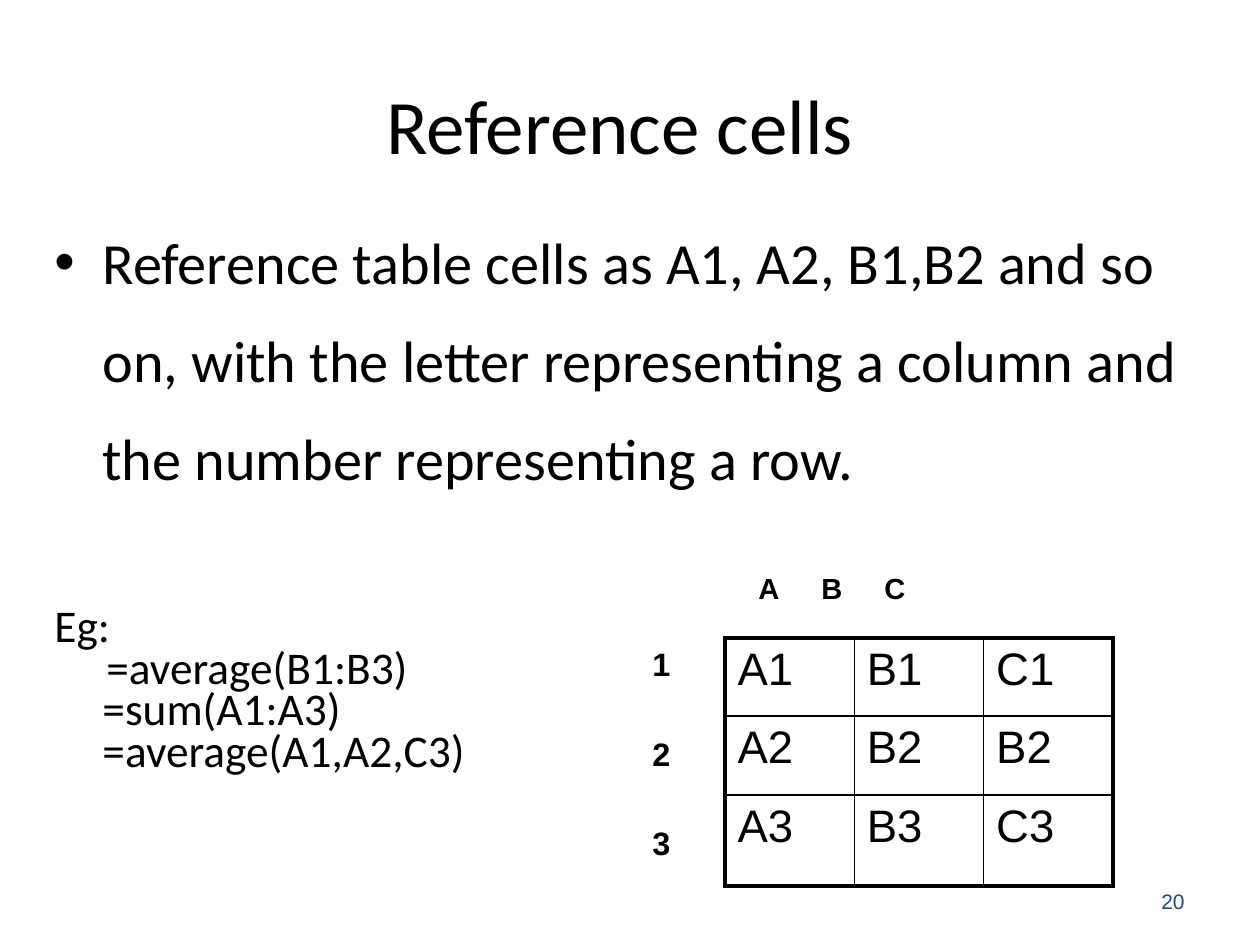
from dataclasses import dataclass

from lxml import etree
from pptx import Presentation
from pptx import util as u
from pptx.dml.color import RGBColor
from pptx.enum import text
from pptx.oxml import ns

SCALE = 914400 / 126  # EMU per px
COLORS = {"ink": "000000", "number": "1F497D"}


@dataclass(frozen=True)
class Box:
    left: int
    top: int
    width: int
    height: int

    def emu(self) -> tuple[int, ...]:
        return tuple(px(n) for n in (self.left, self.top, self.width, self.height))


@dataclass(frozen=True)
class Line:
    content: str
    margin: int = 0
    hanging: int = 0
    bullet: str = ""
    tabs: tuple[int, ...] = ()


def px(length: float) -> u.Emu:
    return u.Emu(round(length * SCALE))


def add_child(parent, tag: str, **attributes):
    child = etree.SubElement(parent, ns.qn(tag))
    for name, value in attributes.items():
        child.set(name, str(value))
    return child


def write(frame, lines: list[Line], *, size: float, font: str = "Calibri",
          color: str = "ink", bold: bool = False, align=text.PP_ALIGN.LEFT,
          anchor=text.MSO_ANCHOR.TOP, spacing: float = 1.0, gap: float = 0) -> None:
    """Fill a text frame; gap is the space in points between paragraphs."""
    frame.word_wrap = True
    frame.vertical_anchor = anchor
    for index, line in enumerate(lines):
        paragraph = frame.add_paragraph() if index else frame.paragraphs[0]
        paragraph.alignment = align
        paragraph.line_spacing = spacing
        paragraph.space_before = u.Pt(gap if index else 0)
        properties = paragraph._p.get_or_add_pPr()
        properties.set("marL", str(px(line.margin)))
        properties.set("indent", str(px(-line.hanging)))
        if line.bullet:
            add_child(properties, "a:buFont", typeface="Arial")
            add_child(properties, "a:buChar", char=line.bullet)
        if line.tabs:
            stops = add_child(properties, "a:tabLst")
            for stop in line.tabs:
                add_child(stops, "a:tab", pos=px(stop), algn="l")
        run = paragraph.add_run()
        run.text = line.content
        run.font.name = font
        run.font.size = u.Pt(size)
        run.font.bold = bold
        run.font.color.rgb = RGBColor.from_string(COLORS[color])


def add_text(slide, box: Box, lines: list[Line], **style) -> None:
    write(slide.shapes.add_textbox(*box.emu()).text_frame, lines, **style)


def set_borders(cell, widths: dict[str, float]) -> None:
    properties = cell._tc.get_or_add_tcPr()
    for side, width in widths.items():
        border = add_child(properties, f"a:ln{side}", w=u.Pt(width))
        fill = add_child(border, "a:solidFill")
        add_child(fill, "a:srgbClr", val=COLORS["ink"])


def add_grid(slide, box: Box, rows: list[list[str]], heights: list[int]) -> None:
    """Draw a table with a thick frame and thin inner lines."""
    thick, thin = 2.25, 1
    last_row, last_column = len(rows) - 1, len(rows[0]) - 1
    table = slide.shapes.add_table(len(rows), len(rows[0]), *box.emu()).table
    table.first_row = table.horz_banding = False
    for row, height in zip(table.rows, heights):
        row.height = px(height)
    for r, names in enumerate(rows):
        for c, name in enumerate(names):
            cell = table.cell(r, c)
            set_borders(cell, {
                "L": thick if c == 0 else thin,
                "R": thick if c == last_column else thin,
                "T": thick if r == 0 else thin,
                "B": thick if r == last_row else thin,
            })
            cell.fill.background()
            write(cell.text_frame, [Line(name)], size=26, font="Arial")


def main() -> None:
    presentation = Presentation()
    presentation.slide_width, presentation.slide_height = px(1260), px(945)
    slide = presentation.slides.add_slide(presentation.slide_layouts[6])

    add_text(slide, Box(53, 37, 1134, 174), [Line("Reference cells")], size=44,
             align=text.PP_ALIGN.CENTER, anchor=text.MSO_ANCHOR.MIDDLE)
    rule = ("Reference table cells as A1, A2, B1,B2 and so on, with the letter "
            "representing a column and the number representing a row.")
    add_text(slide, Box(42, 192, 1155, 320),
             [Line(rule, margin=48, hanging=48, bullet="•")], size=33.3, spacing=1.4)
    examples = [Line("Eg:"), Line("=average(B1:B3)", margin=52),
                Line("=sum(A1:A3)", margin=48), Line("=average(A1,A2,C3)", margin=48)]
    add_text(slide, Box(42, 610, 560, 190), examples, size=25.9, spacing=0.6, gap=5.2)

    add_grid(slide, Box(725, 638, 388, 248),
             [["A1", "B1", "C1"], ["A2", "B2", "B2"], ["A3", "B3", "C3"]], [78, 79, 91])
    add_text(slide, Box(640, 638, 57, 239), [Line(n) for n in "123"],
             size=18.5, font="Arial", bold=True, gap=29)
    add_text(slide, Box(746, 564, 357, 48), [Line("A\tB\tC", tabs=(132, 243))],
             size=16.6, font="Arial", bold=True)
    add_text(slide, Box(903, 876, 294, 50), [Line("20")], size=12, font="Arial",
             color="number", align=text.PP_ALIGN.RIGHT, anchor=text.MSO_ANCHOR.MIDDLE)
    presentation.save("out.pptx")


if __name__ == "__main__":
    main()
